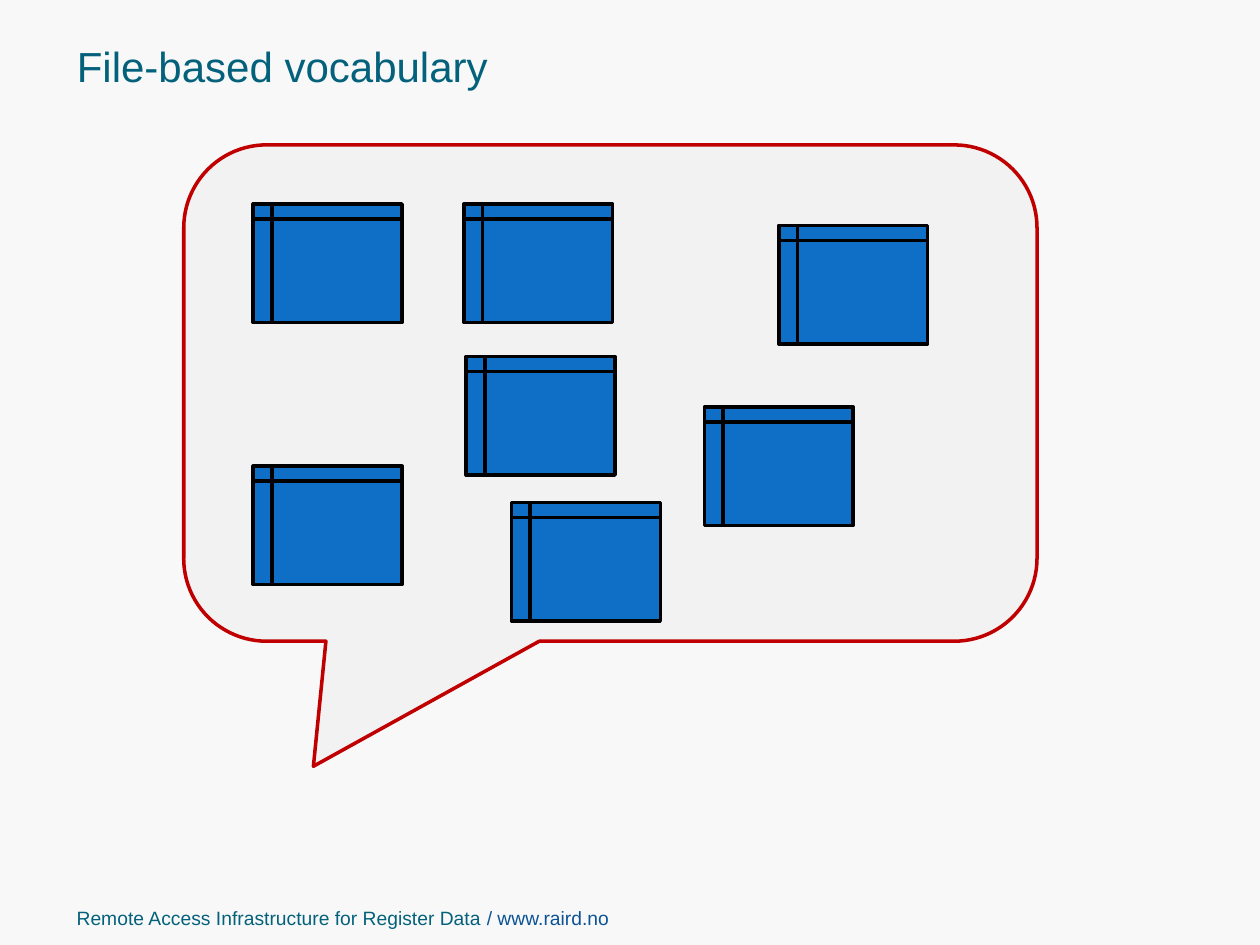
"""Build the slide on a file-based vocabulary."""
from pptx import Presentation
from pptx.dml.color import RGBColor
from pptx.enum.shapes import MSO_SHAPE as SHAPE
from pptx.enum.text import MSO_ANCHOR as ANCHOR, MSO_AUTO_SIZE as AUTO, PP_ALIGN as ALIGN
from pptx.util import Pt

BACKGROUND = RGBColor(0xF8, 0xF8, 0xF8)
TEAL = RGBColor(0x04, 0x61, 0x7B)
LINK_BLUE = RGBColor(0x0B, 0x53, 0x95)
BUBBLE_GREY = RGBColor(0xF2, 0xF2, 0xF2)
RED = RGBColor(0xC0, 0x00, 0x00)
FILE_BLUE = RGBColor(0x0F, 0x6F, 0xC6)
BLACK = RGBColor(0x00, 0x00, 0x00)

FILE_SIZE = (85, 67.7)
FILE_POSITIONS = [
    (144.7, 116.6), (445, 128.9), (266.4, 203.8), (402.5, 232.6),
    (265, 116.6), (144.7, 266.4), (292.3, 287.3),
]


def place(sp, left, top, width, height):
    """Move and size a shape, in points."""
    sp.left, sp.top, sp.width, sp.height = map(Pt, (left, top, width, height))


def write_line(sp, size, runs):
    """Write one left-aligned line of (text, colour) runs."""
    tf = sp.text_frame
    tf.word_wrap = True
    tf.auto_size = AUTO.NONE
    tf.vertical_anchor = ANCHOR.MIDDLE
    p = tf.paragraphs[0]
    p.alignment = ALIGN.LEFT
    for text, colour in runs:
        r = p.add_run()
        r.text = text
        r.font.name = "Arial"
        r.font.size = Pt(size)
        r.font.color.rgb = colour


def add_outlined(s, kind, box, fill, line):
    """Add a filled preset shape with a 2 pt outline."""
    sp = s.shapes.add_shape(kind, *map(Pt, box))
    sp.shadow.inherit = False
    sp.fill.solid()
    sp.fill.fore_color.rgb = fill
    sp.line.color.rgb = line
    sp.line.width = Pt(2)
    return sp


def add_bubble(s):
    """Add the speech bubble that holds the files."""
    sp = add_outlined(s, SHAPE.ROUNDED_RECTANGULAR_CALLOUT,
                      (105, 82.8, 487.6, 283.6), BUBBLE_GREY, RED)
    for i, value in enumerate((-0.348, 0.752, 0.167)):
        sp.adjustments[i] = value


def main():
    """Build and save the slide."""
    prs = Presentation()
    prs.slide_width, prs.slide_height = Pt(720), Pt(540)
    s = prs.slides.add_slide(prs.slide_layouts[5])
    s.background.fill.solid()
    s.background.fill.fore_color.rgb = BACKGROUND

    title = s.shapes.title
    place(title, 36.7, 19.5, 657.4, 36)
    write_line(title, 24, [("File-based vocabulary", TEAL)])

    footer = s.shapes.add_textbox(Pt(36.7), Pt(514), Pt(532.8), Pt(21))
    write_line(footer, 11, [
        ("Remote Access Infrastructure for Register Data ", TEAL),
        ("/ www.raird.no", LINK_BLUE),
    ])

    add_bubble(s)
    for position in FILE_POSITIONS:
        add_outlined(s, SHAPE.FLOWCHART_INTERNAL_STORAGE,
                     position + FILE_SIZE, FILE_BLUE, BLACK)
    prs.save("out.pptx")


if __name__ == "__main__":
    main()
